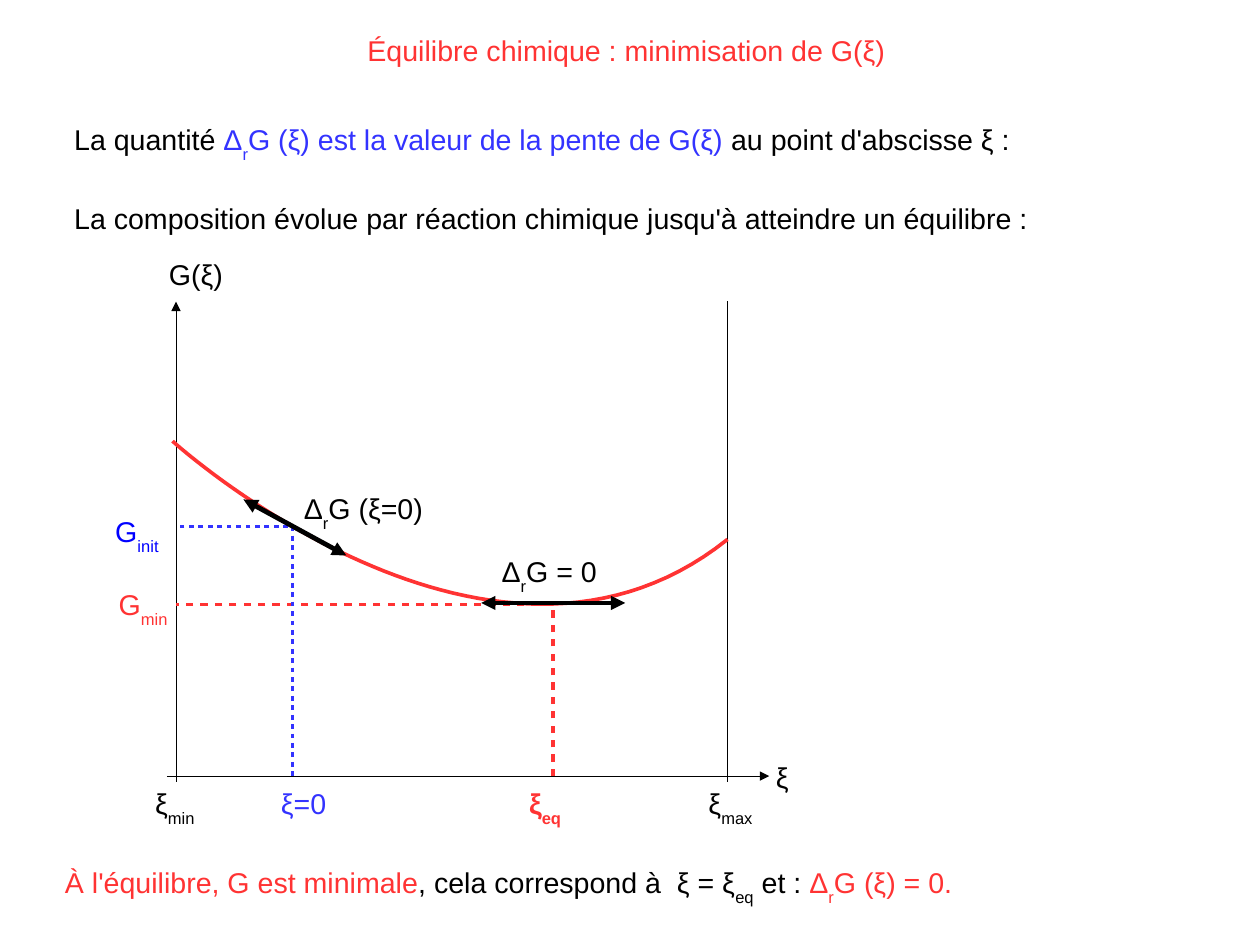
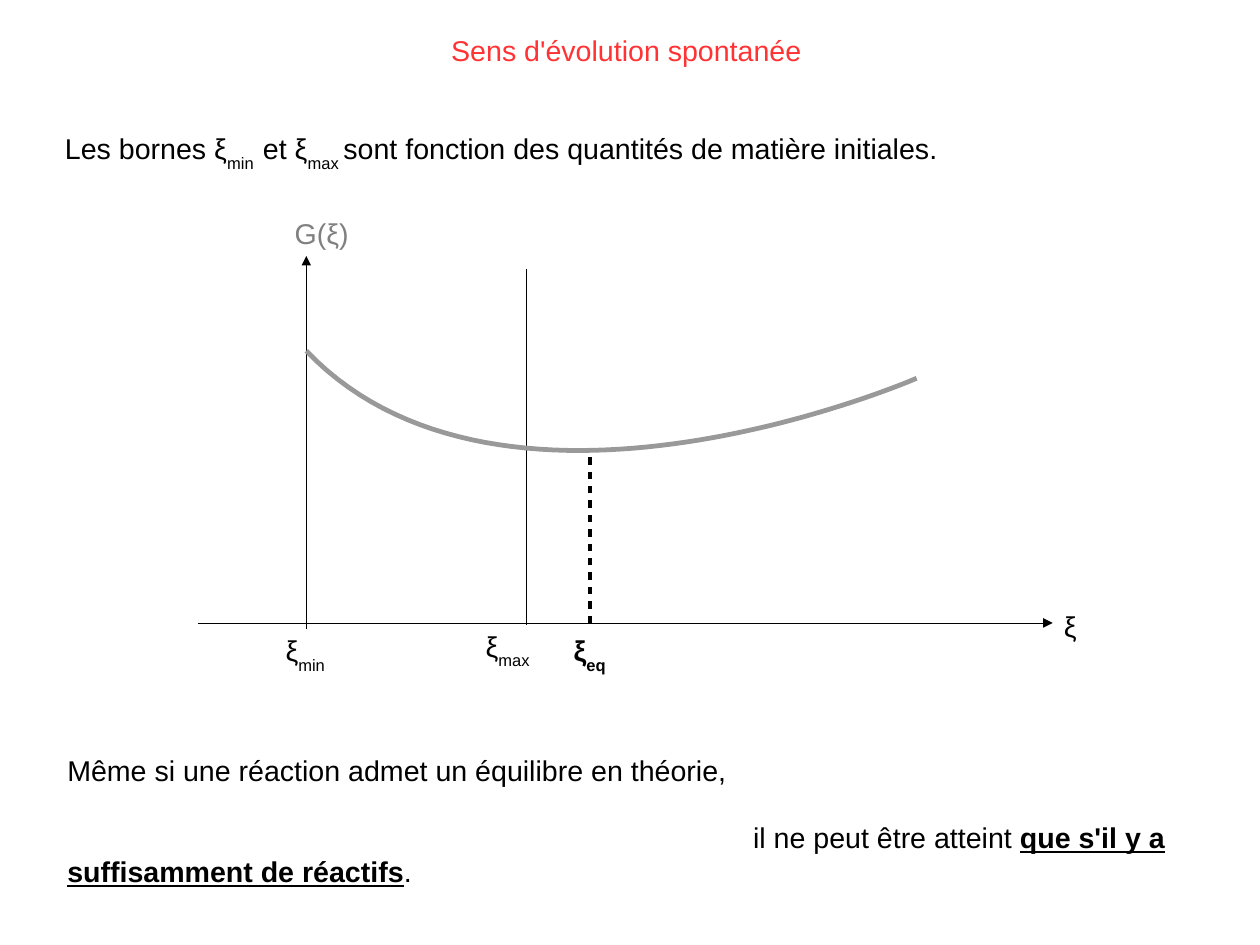
"""Build two slides on chemical equilibrium and spontaneous evolution."""
import pptx
import pptx.dml.color
import pptx.enum.shapes
import pptx.enum.text
import pptx.oxml
import pptx.oxml.ns
import pptx.util

CELL = pptx.util.Inches(0.1)
FONT, TEXT_SIZE = "Arial", 18
BLACK, RED, BLUE, PURE_BLUE = "000000", "FF3333", "3333FF", "0000FF"
GRAY, CURVE_GRAY = "808080", "999999"
HAIRLINE, THIN, MEDIUM, THICK = 0, 1.5, 2.3, 3
CURVE_STEPS = 60
TITLE_BOX = (0, 2.4, 109.6, 3.9)
DASH = '<a:custDash %s><a:ds d="200000" sp="195000"/></a:custDash>'
ARROWS = {"end": ["tailEnd"], "both": ["headEnd", "tailEnd"]}


def color(hex_string):
    """Turn a hex string into a colour."""
    return pptx.dml.color.RGBColor.from_string(hex_string)


def write(paragraph, text, ink=BLACK, bold=False, underline=False):
    """Add text to a paragraph, with subscripts between tildes."""
    for index, part in enumerate(text.split("~")):
        if part:
            run = paragraph.add_run()
            run.text = part
            run.font.name = FONT
            run.font.size = pptx.util.Pt(TEXT_SIZE)
            run.font.color.rgb = color(ink)
            run.font.bold = bold
            run.font.underline = underline
            if index % 2:
                run._r.get_or_add_rPr().set("baseline", "-33000")


red, blue, gray = {"ink": RED}, {"ink": BLUE}, {"ink": GRAY}

axis, base, limit, top = 15.4, 67.9, 63.65, 26.4
equilibrium, minimum = 48.4, 52.9
start, initial = 25.6, 46.05
label_row = base + 0.4
minimization = {
    "title": "Équilibre chimique : minimisation de G(ξ)",
    "strokes": [
        ([(axis, base + 0.5), (axis, top)], BLACK, HAIRLINE, "end", False),
        ([(axis - 0.8, base), (67.3, base)], BLACK, HAIRLINE, "end", False),
        ([(limit, base + 0.5), (limit, top)], BLACK, HAIRLINE, None, False),
        ([(limit, 47.2), (42.9, 63.8), (15.1, 38.6), (15.1, 38.6)], RED, MEDIUM, None, False),
        ([(equilibrium, base), (equilibrium, minimum)], RED, MEDIUM, None, True),
        ([(equilibrium, minimum), (axis, minimum)], RED, MEDIUM, None, True),
        ([(start, initial), (start, base)], BLUE, THIN, None, True),
        ([(start - 0.4, initial), (axis, initial)], BLUE, THIN, None, True),
        ([(54.7, 52.75), (42.1, 52.75)], BLACK, THICK, "both", False),
        ([(30.3, 48.6), (21.3, 43.7)], BLACK, THICK, "both", False),
    ],
    "texts": [
        (5.5, 10.2, 89.8, 4.4, [[
            ("La quantité ", {}),
            ("Δ~r~G (ξ) est la valeur de la pente de G(ξ)", blue),
            (" au point d'abscisse ξ :", {})]]),
        (5.5, 17.1, 85.8, 3.8, [[
            ("La composition évolue par réaction chimique jusqu'à atteindre un équilibre :", {})]]),
        (13.8, 22, 7.9, 3.8, [[("G(ξ)", {})]]),
        (25.6, 42.5, 14.6, 4.4, [[("Δ~r~G (ξ=0)", {})]]),
        (42.9, 48, 11.8, 4.4, [[("Δ~r~G = 0", {})]]),
        (9.1, 44.5, 6.1, 4.4, [[("G~init~", {"ink": PURE_BLUE})]]),
        (9.4, 50.9, 6.7, 4.4, [[("G~min~", red)]]),
        (12.6, label_row, 6.3, 5.3, [[("ξ~min~", {})]]),
        (23.6, label_row, 6.3, 5.3, [[("ξ=0", blue)]]),
        (45.3, label_row, 5.1, 5.3, [[("ξ~eq~", {"ink": RED, "bold": True})]]),
        (61, label_row, 8.9, 5.3, [[("ξ~max~", {})]]),
        (66.9, 66, 3.9, 3.8, [[("ξ", {})]]),
        (4.7, 75.2, 101.6, 4.4, [[
            ("À l'équilibre, G est minimale", red),
            (", cela correspond à  ξ = ξ~eq~ et : ", {}),
            ("Δ~r~G (ξ) = 0.", red)]]),
    ],
}

axis, base, limit, equilibrium = 26.8, 54.5, 46.1, 51.6
label_row = base + 0.4
evolution = {
    "title": "Sens d'évolution spontanée",
    "strokes": [
        ([(axis, base + 0.5), (axis, 22.4)], BLACK, HAIRLINE, "end", False),
        ([(17.3, base), (92.1, base)], BLACK, HAIRLINE, "end", False),
        ([(limit, base + 0.1), (limit, 23.6)], BLACK, HAIRLINE, None, False),
        ([(equilibrium, base), (equilibrium, 39.5)], BLACK, MEDIUM, None, True),
        ([(axis, 30.7), (44.1, 48.8), (80.2, 33.1), (80.2, 33.1)], CURVE_GRAY, THICK, None, False),
    ],
    "texts": [
        (4.7, 11, 79, 4.4, [[
            ("Les bornes ξ~min  ~et ξ~max ~sont fonction des quantités de matière initiales.", {})]]),
        (24.8, 18.4, 7.9, 3.8, [[("G(ξ)", gray)]]),
        (24, label_row, 6.3, 5.3, [[("ξ~min~", {})]]),
        (41.5, base, 8.9, 5.3, [[("ξ~max~", {})]]),
        (49.2, label_row, 5.1, 5.3, [[("ξ~eq~", {"bold": True})]]),
        (92.1, 52.8, 3.9, 3.8, [[("ξ", {})]]),
        (4.9, 65.4, 99.8, 10.2, [
            [("Même si une réaction admet un équilibre en théorie,", {})],
            [("il ne peut être atteint ", {}),
             ("que s'il y a suffisamment de réactifs", {"bold": True, "underline": True}),
             (".", {})]]),
    ],
}
SECOND_INDENT, SECOND_SPACE = 60, 20.5

presentation = pptx.Presentation()
presentation.slide_width = pptx.util.Cm(28)
presentation.slide_height = pptx.util.Cm(21)

for content in (minimization, evolution):
    slide = presentation.slides.add_slide(presentation.slide_layouts[6])

    for points, ink, weight, arrows, dashed in content["strokes"]:
        points = [(int(x * CELL), int(y * CELL)) for x, y in points]
        if len(points) == 2:
            stroke = slide.shapes.add_connector(
                pptx.enum.shapes.MSO_CONNECTOR.STRAIGHT, *points[0], *points[1])
            stroke._element.spPr.append(
                pptx.oxml.parse_xml("<a:effectLst %s/>" % pptx.oxml.ns.nsdecls("a")))
        else:
            samples = []
            for step in range(CURVE_STEPS + 1):
                t = step / CURVE_STEPS
                shares = ((1 - t) ** 3, 3 * t * (1 - t) ** 2, 3 * t ** 2 * (1 - t), t ** 3)
                samples.append(tuple(
                    round(sum(share * point[i] for share, point in zip(shares, points)))
                    for i in (0, 1)))
            builder = slide.shapes.build_freeform(*samples[0])
            builder.add_line_segments(samples[1:], close=False)
            stroke = builder.convert_to_shape()
            stroke.fill.background()
            stroke.shadow.inherit = False
        stroke.line.color.rgb = color(ink)
        stroke.line.width = pptx.util.Pt(weight)
        outline = stroke._element.spPr.get_or_add_ln()
        outline.set("w", str(int(pptx.util.Pt(weight))))
        if dashed:
            outline.append(pptx.oxml.parse_xml(DASH % pptx.oxml.ns.nsdecls("a")))
        for end in ARROWS.get(arrows, []):
            outline.append(pptx.oxml.parse_xml(
                '<a:%s %s type="triangle"/>' % (end, pptx.oxml.ns.nsdecls("a"))))

    title = (*TITLE_BOX, [[(content["title"], red)]])
    for *box, paragraphs in [title] + content["texts"]:
        shape = slide.shapes.add_textbox(*(int(length * CELL) for length in box))
        frame = shape.text_frame
        frame.word_wrap = True
        for index, spans in enumerate(paragraphs):
            paragraph = frame.add_paragraph() if index else frame.paragraphs[0]
            if tuple(box) == TITLE_BOX:
                paragraph.alignment = pptx.enum.text.PP_ALIGN.CENTER
            if index:
                paragraph.space_before = pptx.util.Pt(SECOND_SPACE)
                paragraph._p.get_or_add_pPr().set("indent", str(SECOND_INDENT * CELL))
            for text, text_format in spans:
                write(paragraph, text, **text_format)

presentation.save("out.pptx")
